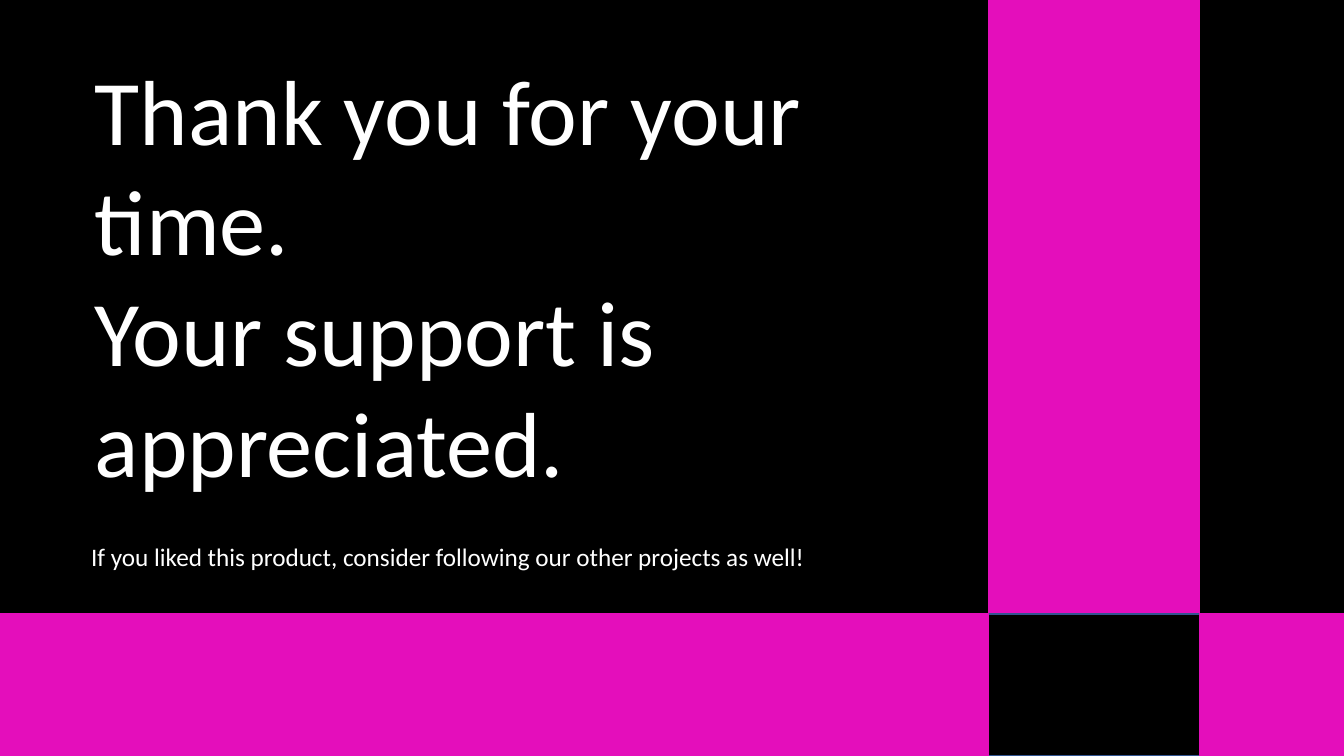
from pptx import Presentation
from pptx.dml.color import RGBColor
from pptx.enum.shapes import MSO_SHAPE
from pptx.enum.text import MSO_ANCHOR, MSO_AUTO_SIZE, PP_ALIGN
from pptx.util import Pt

BLACK = RGBColor(0x00, 0x00, 0x00)
WHITE = RGBColor(0xFF, 0xFF, 0xFF)
MAGENTA = RGBColor(0xE4, 0x0E, 0xBB)
BLUE = RGBColor(0x32, 0x54, 0x91)
RECTANGLE = MSO_SHAPE.RECTANGLE
TOP = MSO_ANCHOR.TOP
FIT_SHAPE = MSO_AUTO_SIZE.SHAPE_TO_FIT_TEXT
LEFT = PP_ALIGN.LEFT

WIDTH, HEIGHT = 960, 540
BAND_TOP = 438.5
STRIPE_LEFT, STRIPE_RIGHT = 706, 857


def write_lines(frame, lines, size):
    frame.word_wrap = True
    frame.auto_size = FIT_SHAPE
    frame.vertical_anchor = TOP
    frame.text = "\n".join(lines)
    for paragraph in frame.paragraphs:
        paragraph.alignment = LEFT
        paragraph.line_spacing = 1.0
        paragraph.font.name = "Calibri"
        paragraph.font.size = Pt(size)
        paragraph.font.color.rgb = WHITE


prs = Presentation()
prs.slide_width = Pt(WIDTH)
prs.slide_height = Pt(HEIGHT)
slide = prs.slides.add_slide(prs.slide_layouts[5])

panels = [
    (0, 0, WIDTH, BAND_TOP, BLACK, BLACK),
    (STRIPE_LEFT, 0, STRIPE_RIGHT, BAND_TOP, MAGENTA, MAGENTA),
    (STRIPE_LEFT, BAND_TOP, STRIPE_RIGHT, HEIGHT, BLACK, BLUE),
    (0, BAND_TOP, STRIPE_LEFT, HEIGHT, MAGENTA, MAGENTA),
    (STRIPE_RIGHT, BAND_TOP, WIDTH, HEIGHT, MAGENTA, MAGENTA),
]
for left, top, right, bottom, fill, outline in panels:
    panel = slide.shapes.add_shape(
        RECTANGLE, Pt(left), Pt(top), Pt(right - left), Pt(bottom - top))
    panel.shadow.inherit = False
    panel.fill.solid()
    panel.fill.fore_color.rgb = fill
    panel.line.color.rgb = outline
    panel.line.width = Pt(1)

thanks = slide.shapes.title
thanks.left, thanks.top = Pt(60.5), Pt(34)
thanks.width, thanks.height = Pt(559.5), Pt(327)
write_lines(thanks.text_frame,
            ["Thank you for your time.", "Your support is appreciated."], 66)
thanks.element.getparent().append(thanks.element)

invitation = slide.shapes.add_textbox(Pt(58), Pt(383), Pt(577), Pt(29))
write_lines(
    invitation.text_frame,
    ["If you liked this product, consider following our other projects as well!"],
    18)

prs.save("out.pptx")
